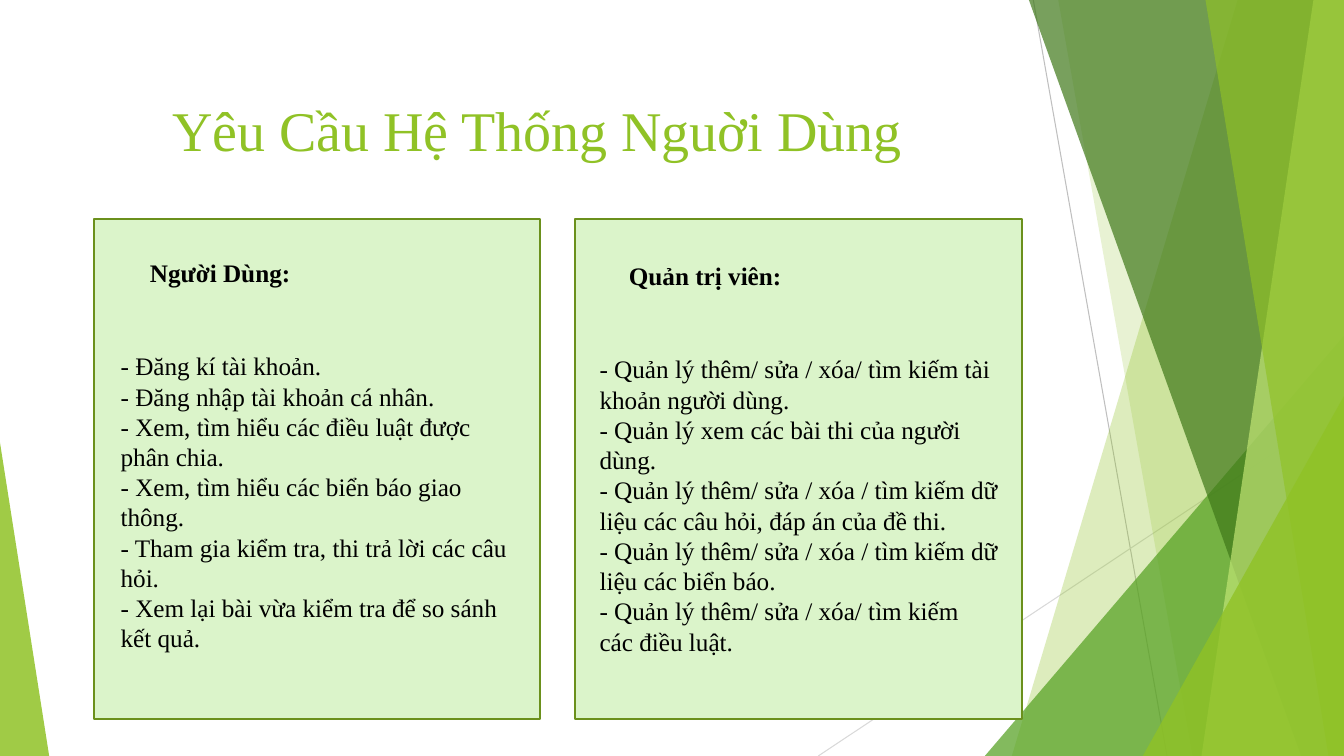
from lxml import etree
from pptx import Presentation
from pptx import util as u
from pptx.dml import color
from pptx.enum import shapes, text
from pptx.oxml import ns

TITLE = "Yêu Cầu Hệ Thống Nguời Dùng"
ROLES = [
    {"card": 2.36, "heading": (3.53, 6.35), "name": "Người Dùng:", "tasks": [
        "- Đăng kí tài khoản.",
        "- Đăng nhập tài khoản cá nhân.",
        "- Xem, tìm hiểu các điều luật được phân chia.",
        "- Xem, tìm hiểu các biển báo giao thông.",
        "- Tham gia kiểm tra, thi trả lời các câu hỏi.",
        "- Xem lại bài vừa kiểm tra để so sánh kết quả."]},
    {"card": 14.5, "heading": (15.6, 6.43), "name": "Quản trị viên:", "tasks": [
        "- Quản lý thêm/ sửa / xóa/ tìm kiếm tài khoản người dùng.",
        "- Quản lý xem các bài thi của người dùng.",
        "- Quản lý thêm/ sửa / xóa / tìm kiếm dữ liệu các câu hỏi, đáp án của đề thi.",
        "- Quản lý thêm/ sửa / xóa / tìm kiếm dữ liệu các biển báo.",
        "- Quản lý thêm/ sửa / xóa/ tìm kiếm các điều luật."]},
]
COLOURS = {"lime": "90C226", "green": "54A021", "forest": "3F7819", "pale": "C0E474",
           "card": "DBF4CA", "border": "6B901C", "ink": "000000",
           "grey": "BFBFBF", "light": "D9D9D9"}
WIDTH, HEIGHT = 33.87, 19.05
RAYS = [((26.04, 0), (29.41, HEIGHT), "grey"),
        ((WIDTH, 10.24), (20.62, HEIGHT), "light")]
DECOR = [
    ("facet", (31.19, 25.5), "lime", 30),
    ("facet", (26.67, 30.05), "lime", 20),
    ("triangle", (24.82, 8.46, 9.05, 1), "green", 72),
    ("facet", (25.93, 32.79), "forest", 70),
    ("facet", (33.1, 30.28), "pale", 70),
    ("facet", (30.38, 33.48), "lime", 65),
    ("triangle", (28.8, 9.98, 5.07, 1), "lime", 80),
    ("triangle", (0, 11.15, 1.24, 0), "lime", 85),
]
TITLE_FONT = {"name": "Times New Roman", "size": u.Pt(40)}
BODY_FONT = {"name": "Times New Roman", "size": u.Pt(18)}
HEADING_FONT = {**BODY_FONT, "bold": True}


def rgb(name):
    return color.RGBColor.from_string(COLOURS[name])


def paint(shape, fill, opacity=100, border=None):
    shape.shadow.inherit = False
    shape.fill.solid()
    shape.fill.fore_color.rgb = rgb(fill)
    if opacity < 100:
        tint = shape.fill._xPr.find(".//" + ns.qn("a:srgbClr"))
        etree.SubElement(tint, ns.qn("a:alpha"), val=str(opacity * 1000))
    if border:
        shape.line.color.rgb = rgb(border)
        shape.line.width = u.Pt(1.5)
    else:
        shape.line.fill.background()


def add_text(slide, area, lines, font, ink):
    box = slide.shapes.add_textbox(*map(u.Cm, area))
    frame = box.text_frame
    frame.word_wrap = True
    frame.auto_size = text.MSO_AUTO_SIZE.SHAPE_TO_FIT_TEXT
    for index, line in enumerate(lines):
        para = frame.paragraphs[0] if index == 0 else frame.add_paragraph()
        span = para.add_run()
        span.text = line
        for key, value in font.items():
            setattr(span.font, key, value)
        span.font.color.rgb = rgb(ink)


def add_facet(slide, top, bottom):
    corners = [(top, 0), (WIDTH, 0), (WIDTH, HEIGHT), (bottom, HEIGHT)]
    points = [(u.Cm(x), u.Cm(y)) for x, y in corners]
    builder = slide.shapes.build_freeform(*points[0], scale=1.0)
    builder.add_line_segments(points[1:], close=True)
    return builder.convert_to_shape()


def add_triangle(slide, left, top, width, apex):
    shape = slide.shapes.add_shape(shapes.MSO_SHAPE.ISOSCELES_TRIANGLE,
                                   *map(u.Cm, (left, top, width, HEIGHT - top)))
    shape.adjustments[0] = apex
    return shape


deck = Presentation()
deck.slide_width, deck.slide_height = u.Cm(WIDTH), u.Cm(HEIGHT)
page = deck.slides.add_slide(deck.slide_layouts[6])

for start, end, tone in RAYS:
    ray = page.shapes.add_connector(shapes.MSO_CONNECTOR.STRAIGHT, *map(u.Cm, start + end))
    ray.line.color.rgb = rgb(tone)
    ray.line.width = u.Pt(0.75)
    etree.SubElement(ray._element.spPr, ns.qn("a:effectLst"))

MAKERS = {"facet": add_facet, "triangle": add_triangle}
for kind, place, tone, opacity in DECOR:
    paint(MAKERS[kind](page, *place), tone, opacity)

add_text(page, (4.09, 2.29, 21.39, 1.96), [TITLE], TITLE_FONT, "lime")

for role in ROLES:
    card = page.shapes.add_shape(shapes.MSO_SHAPE.RECTANGLE,
                                 *map(u.Cm, (role["card"], 5.51, 11.25, 12.62)))
    paint(card, "card", border="border")
    left, top = role["heading"]
    add_text(page, (left, top, 8.18, 1.02), [role["name"]], HEADING_FONT, "ink")
    add_text(page, (left - 0.74, top + 2.36, 10.54, 8.71), role["tasks"], BODY_FONT, "ink")

deck.save("out.pptx")
